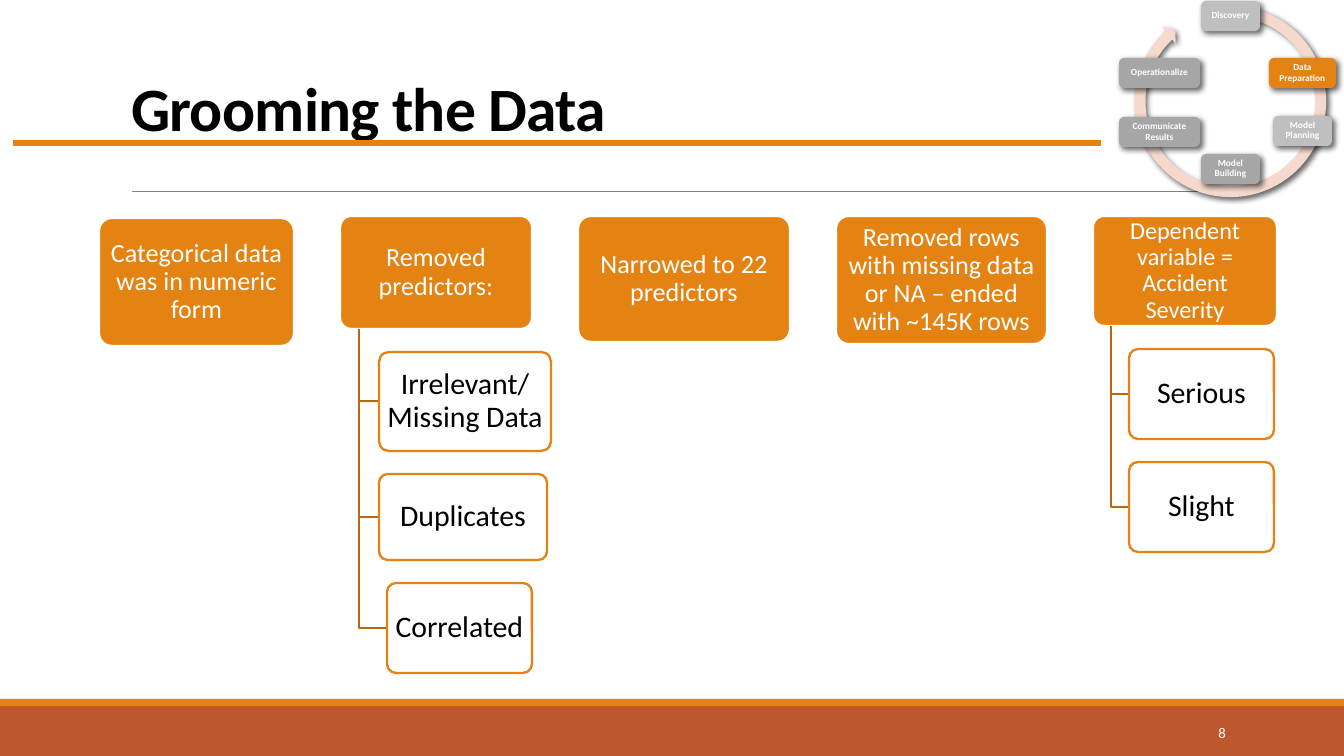
from dataclasses import dataclass

from lxml import etree
from pptx import Presentation
from pptx import util as u
from pptx.dml.color import RGBColor
from pptx.enum import shapes, text
from pptx.oxml import ns

PX = 914400 / 134.4


@dataclass(frozen=True)
class Theme:
    font: str = "Calibri"
    orange: str = "E48312"
    rust: str = "BD582C"
    branch: str = "B7690E"
    peach: str = "F5D9CC"
    light: str = "BFBFBF"
    gray: str = "A6A6A6"
    rule: str = "808080"
    white: str = "FFFFFF"
    black: str = "000000"
    title: float = 33
    head: float = 14
    small_head: float = 13
    child: float = 16
    stage: float = 5
    number: float = 7.9


theme = Theme()


def write(target, content, size, color, bold=False, align="CENTER", spacing=0.9, inset=(4, 3)):
    frame = target.text_frame
    frame.word_wrap = True
    frame.auto_size = text.MSO_AUTO_SIZE.NONE
    frame.vertical_anchor = text.MSO_ANCHOR.MIDDLE
    frame.margin_left = frame.margin_right = u.Emu(round(inset[0] * PX))
    frame.margin_top = frame.margin_bottom = u.Emu(round(inset[1] * PX))
    paragraph = frame.paragraphs[0]
    paragraph.alignment = getattr(text.PP_ALIGN, align)
    paragraph.line_spacing = spacing
    run = paragraph.add_run()
    run.text = content
    run.font.name = theme.font
    run.font.size = u.Pt(size)
    run.font.bold = bold
    run.font.color.rgb = RGBColor.from_string(color)
    return run


def draw(kind, area, fill, line=None, shadow=False, adjust=()):
    shape = slide.shapes.add_shape(kind, *[round(v * PX) for v in area])
    for i, value in enumerate(adjust):
        shape.adjustments[i] = value
    shape.fill.solid()
    shape.fill.fore_color.rgb = RGBColor.from_string(fill)
    if line:
        shape.line.color.rgb = RGBColor.from_string(line)
        shape.line.width = u.Pt(1.25)
    else:
        shape.line.fill.background()
    shape.shadow.inherit = False
    if shadow:
        effects = shape._element.spPr.find(ns.qn("a:effectLst"))
        outer = etree.SubElement(effects, ns.qn("a:outerShdw"), blurRad="38100",
                                 dist="25400", dir="2700000", algn="tl", rotWithShape="0")
        tint = etree.SubElement(outer, ns.qn("a:srgbClr"), val=theme.black)
        etree.SubElement(tint, ns.qn("a:alpha"), val="60000")
    return shape


deck = Presentation()
deck.slide_width, deck.slide_height = round(1344 * PX), round(756 * PX)
slide = deck.slides.add_slide(deck.slide_layouts[5])
RECT = shapes.MSO_SHAPE.RECTANGLE
ROUND = shapes.MSO_SHAPE.ROUNDED_RECTANGLE

draw(RECT, (0, 706, 1344, 50), theme.rust)
draw(RECT, (0, 699, 1344, 7), theme.orange)

for left, right, y, color, width in [
    (132, 1230, 192, theme.rule, 0.5),
    (13, 1101, 143, theme.orange, 3),
]:
    rule = slide.shapes.add_connector(
        shapes.MSO_CONNECTOR.STRAIGHT, *[round(v * PX) for v in (left, y, right, y)])
    rule.line.color.rgb = RGBColor.from_string(color)
    rule.line.width = u.Pt(width)
    etree.SubElement(rule._element.spPr, ns.qn("a:effectLst"))

heading = slide.shapes.title
heading.left, heading.top, heading.width, heading.height = [
    round(v * PX) for v in (121, 32, 1109, 160)]
heading_run = write(heading, "Grooming the Data", theme.title, theme.black,
                    bold=True, align="LEFT", inset=(10, 5))
heading_run._r.get_or_add_rPr().set("spc", "-40")

steps = [
    ("Categorical data was in numeric form", (99, 218, 195, 128), theme.head, []),
    ("Removed predictors:", (340, 216, 192, 113), theme.head, [
        ("Irrelevant/ Missing Data", (379, 352, 172, 99)),
        ("Duplicates", (379, 474, 168, 86)),
        ("Correlated", (387, 583, 145, 90)),
    ]),
    ("Narrowed to 22 predictors", (578, 216, 212, 126), theme.head, []),
    ("Removed rows with missing data or NA – ended with ~145K rows",
     (836, 216, 211, 128), theme.head, []),
    ("Dependent variable = Accident Severity", (1093, 216, 184, 110), theme.small_head, [
        ("Serious", (1129, 349, 145, 90)),
        ("Slight", (1129, 462, 145, 90)),
    ]),
]
for step, area, size, details in steps:
    head = draw(ROUND, area, theme.orange, theme.white, adjust=[0.1])
    write(head, step, size, theme.white)
    left, top, width, height = area
    trunk, bottom = left + width // 10, top + height
    for detail, place in details:
        middle = place[1] + place[3] // 2
        builder = slide.shapes.build_freeform(trunk, bottom, scale=PX)
        builder.add_line_segments([(trunk, middle), (place[0], middle)], close=False)
        branch = builder.convert_to_shape()
        branch.fill.background()
        branch.line.color.rgb = RGBColor.from_string(theme.branch)
        branch.line.width = u.Pt(1.25)
        branch.shadow.inherit = False
        child = draw(ROUND, place, theme.white, theme.orange, adjust=[0.1])
        write(child, detail, theme.child, theme.black)

page = slide.shapes.add_textbox(*[round(v * PX) for v in (1091, 713, 145, 40)])
write(page, "8", theme.number, theme.white, align="RIGHT", spacing=1, inset=(10, 5))

cycle = draw(shapes.MSO_SHAPE.CIRCULAR_ARROW, (1129, 0, 203, 203), theme.peach,
             shadow=True, adjust=[0.053, 3.126, 146.344, 168.929, 0.055])
cycle.rotation = 343.2

for stage, left, top, width, fill in [
    ("Discovery", 1201, 1, 59, theme.light),
    ("Data Preparation", 1269, 58, 67, theme.orange),
    ("Model Planning", 1273, 116, 59, theme.light),
    ("Model Building", 1201, 154, 59, theme.gray),
    ("Communicate Results", 1119, 117, 81, theme.gray),
    ("Operationalize", 1119, 58, 81, theme.gray),
]:
    node = draw(ROUND, (left, top, width, 30), fill, shadow=True)
    write(node, stage, theme.stage, theme.white, bold=True, inset=(3, 3))

deck.save("out.pptx")
